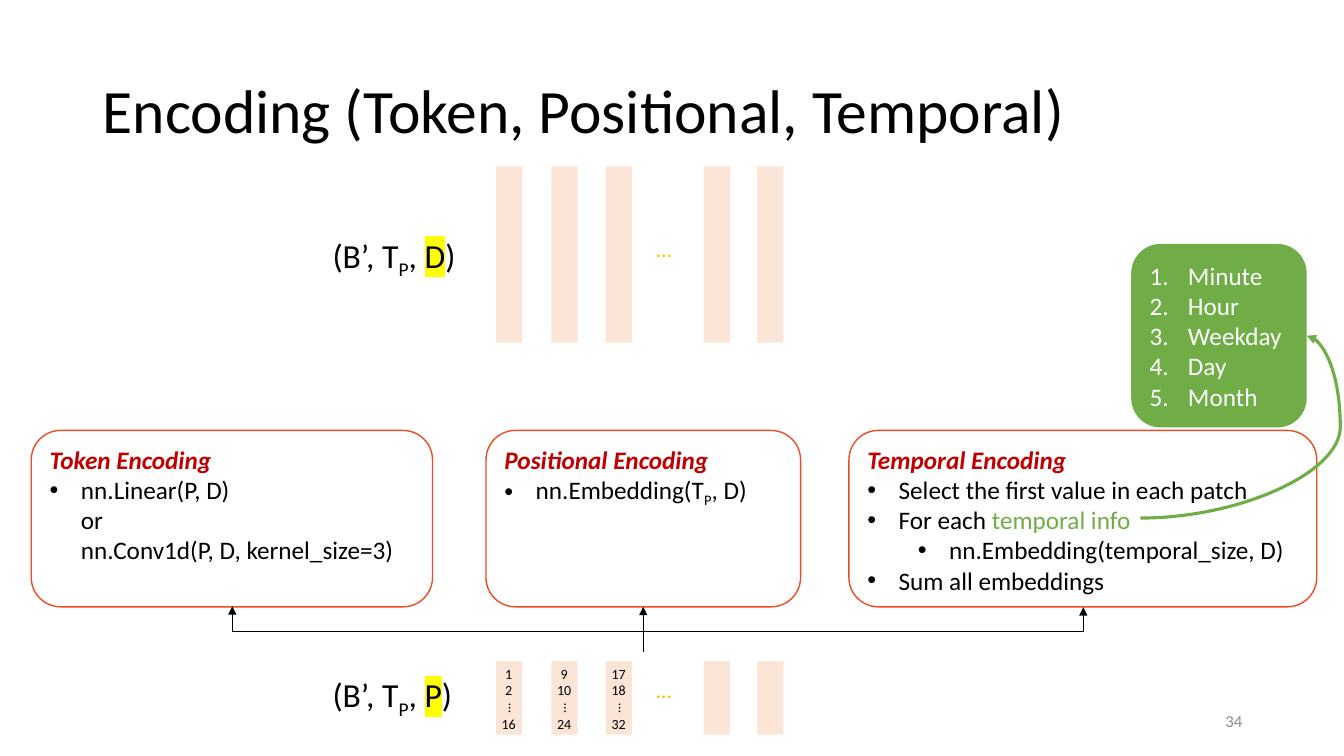
"""Build the slide on token, positional and temporal encoding."""
from lxml import etree
from pptx import Presentation
from pptx.dml.color import RGBColor
from pptx.enum.shapes import MSO_CONNECTOR, MSO_SHAPE
from pptx.enum.text import MSO_ANCHOR, PP_ALIGN
from pptx.oxml.ns import qn
from pptx.util import Pt

PX = 9144
RECT, ROUND = MSO_SHAPE.RECTANGLE, MSO_SHAPE.ROUNDED_RECTANGLE
STRAIGHT, ELBOW, CURVE = MSO_CONNECTOR.STRAIGHT, MSO_CONNECTOR.ELBOW, MSO_CONNECTOR.CURVE
TOP, MIDDLE = MSO_ANCHOR.TOP, MSO_ANCHOR.MIDDLE
LEFT, CENTER, RIGHT = PP_ALIGN.LEFT, PP_ALIGN.CENTER, PP_ALIGN.RIGHT
BLACK, WHITE, GREEN, PEACH = "000000", "FFFFFF", "70AD47", "FBE5D6"
INDENTS = {"•": (31, 31), "sub": (81, 31), "1.": (38, 38)}


def rgb(value):
    return RGBColor.from_string(value)


def write(s, paras, size=18, color=BLACK, align=LEFT, anchor=TOP, wrap=True):
    tf = s.text_frame
    tf.word_wrap, tf.vertical_anchor = wrap, anchor
    for i, (style, runs) in enumerate(paras):
        p = tf.paragraphs[0] if i == 0 else tf.add_paragraph()
        p.alignment = align
        if style in INDENTS:
            margin, hang = INDENTS[style]
            pPr = p._p.get_or_add_pPr()
            pPr.set("marL", str(margin * PX))
            pPr.set("indent", str(-hang * PX))
            if style == "1.":
                etree.SubElement(pPr, qn("a:buAutoNum"), type="arabicPeriod")
            else:
                etree.SubElement(pPr, qn("a:buFont"), typeface="Arial")
                etree.SubElement(pPr, qn("a:buChar"), char="•")
        for text, look in runs:
            for n, line in enumerate(text.split("\n")):
                if n:
                    p.add_line_break()
                r = p.add_run()
                r.text = line
                r.font.name, r.font.size = "Calibri", Pt(size)
                r.font.color.rgb = rgb("C00000" if style == "head" else look.get("color", color))
                r.font.bold = r.font.italic = style == "head"
                rPr = r._r.get_or_add_rPr()
                if "base" in look:
                    rPr.set("baseline", str(look["base"]))
                if "mark" in look:
                    mark = etree.Element(qn("a:highlight"))
                    etree.SubElement(mark, qn("a:srgbClr"), val=look["mark"])
                    rPr.find(qn("a:latin")).addprevious(mark)


prs = Presentation()
prs.slide_width, prs.slide_height = 1333 * PX, 750 * PX
slide = prs.slides.add_slide(prs.slide_layouts[6])
shapes = slide.shapes
SUB = {"base": -25000}

title = shapes.add_textbox(92 * PX, 40 * PX, 1150 * PX, 145 * PX)
write(title, [("", [("Encoding (Token, Positional, Temporal)", {})])], size=44, anchor=MIDDLE)
title.text_frame.paragraphs[0].line_spacing = 0.9
number = shapes.add_textbox(942 * PX, 695 * PX, 300 * PX, 40 * PX)
write(number, [("", [("34", {})])], size=12, color="8C8C8C", align=RIGHT, anchor=MIDDLE)

BAR_LEFTS = [492, 547, 601, 698, 751]
PATCHES = [("1", "2", "16"), ("9", "10", "24"), ("17", "18", "32")]
for bar_top, bar_height, dots_top, label_top, dim, patches in [
    (656, 73, 666, 664, "P", PATCHES),
    (165, 175, 228, 228, "D", []),
]:
    group = shapes.add_group_shape().shapes
    for x in BAR_LEFTS:
        bar = group.add_shape(RECT, x * PX, bar_top * PX, 26 * PX, bar_height * PX)
        bar.shadow.inherit = False
        bar.fill.solid()
        bar.fill.fore_color.rgb = rgb(PEACH)
        bar.line.fill.background()
    dots = group.add_textbox(641 * PX, dots_top * PX, 36 * PX, 32 * PX)
    write(dots, [("", [("…", {})])], size=16, color="FFC000", wrap=False)
    for x, values in zip(BAR_LEFTS, patches):
        column = group.add_textbox((x - 5) * PX, 655 * PX, 35 * PX, 66 * PX)
        write(column, [("", [(v, {})]) for v in values], size=10, align=CENTER, wrap=False)
        column.text_frame.paragraphs[2].space_before = Pt(12)
        gap = group.add_textbox((x + 5) * PX, 688 * PX, 26 * PX, 27 * PX)
        gap.rotation = 90
        write(gap, [("", [("…", {})])], size=10, wrap=False)
    label = shapes.add_textbox(320 * PX, label_top * PX, 142 * PX, 50 * PX)
    write(label, [("", [("(B’, T", {}), ("P", SUB), (", ", {}),
                        (dim, {"mark": "FFFF00"}), (")", {})])], size=24)

BOXES = [
    (31, 398, [
        ("head", [("Token Encoding", {})]),
        ("•", [("nn.Linear(P, D)\nor\nnn.Conv1d(P, D, kernel_size=3)", {})])]),
    (482, 312, [
        ("head", [("Positional Encoding", {})]),
        ("•", [("nn.Embedding(T", {}), ("P", SUB), (", D)", {})])]),
    (842, 464, [
        ("head", [("Temporal Encoding", {})]),
        ("•", [("Select the first value in each patch", {})]),
        ("•", [("For each ", {}), ("temporal info", {"color": GREEN})]),
        ("sub", [("nn.Embedding(temporal_size, D)", {})]),
        ("•", [("Sum all embeddings", {})])]),
]
boxes = []
for x, width, paras in BOXES:
    box = shapes.add_shape(ROUND, x * PX, 427 * PX, width * PX, 175 * PX)
    box.shadow.inherit = False
    box.fill.background()
    box.line.color.rgb = rgb("F04A24")
    box.line.width = Pt(1)
    write(box, paras)
    boxes.append(box)
token, positional, temporal = boxes

units = shapes.add_shape(ROUND, 1122 * PX, 242 * PX, 174 * PX, 182 * PX)
units.shadow.inherit = False
units.fill.solid()
units.fill.fore_color.rgb = rgb(GREEN)
units.line.fill.background()
write(units, [("1.", [(name, {})]) for name in ["Minute", "Hour", "Weekday", "Day", "Month"]],
      color=WHITE, anchor=MIDDLE)

stem = shapes.add_connector(STRAIGHT, 638 * PX, 647 * PX, 638 * PX, 602 * PX)
stem.end_connect(positional, 2)
fork = shapes.add_connector(ELBOW, 230 * PX, 602 * PX, 1074 * PX, 602 * PX)
fork.begin_connect(token, 2)
fork.end_connect(temporal, 2)
fork.left, fork.top, fork.width, fork.height = 652 * PX, 180 * PX, PX, 844 * PX
xfrm = fork._element.spPr.find(qn("a:xfrm"))
xfrm.set("rot", "16200000")
xfrm.set("flipH", "1")
curve = shapes.add_connector(CURVE, 1131 * PX, 514 * PX, 1296 * PX, 333 * PX)
curve.end_connect(units, 3)

for connector, color, width, ends, bend in [
    (stem, BLACK, 0.5, ["tailEnd"], None),
    (fork, BLACK, 0.5, ["headEnd", "tailEnd"], 2500000),
    (curve, GREEN, 2.25, ["tailEnd"], 120200),
]:
    connector.line.color.rgb = rgb(color)
    connector.line.width = Pt(width)
    spPr = connector._element.spPr
    for end in ends:
        etree.SubElement(spPr.find(qn("a:ln")), qn("a:" + end), type="triangle")
    etree.SubElement(spPr, qn("a:effectLst"))
    if bend:
        guides = spPr.find(qn("a:prstGeom")).find(qn("a:avLst"))
        etree.SubElement(guides, qn("a:gd"), name="adj1", fmla=f"val {bend}")

prs.save("out.pptx")
